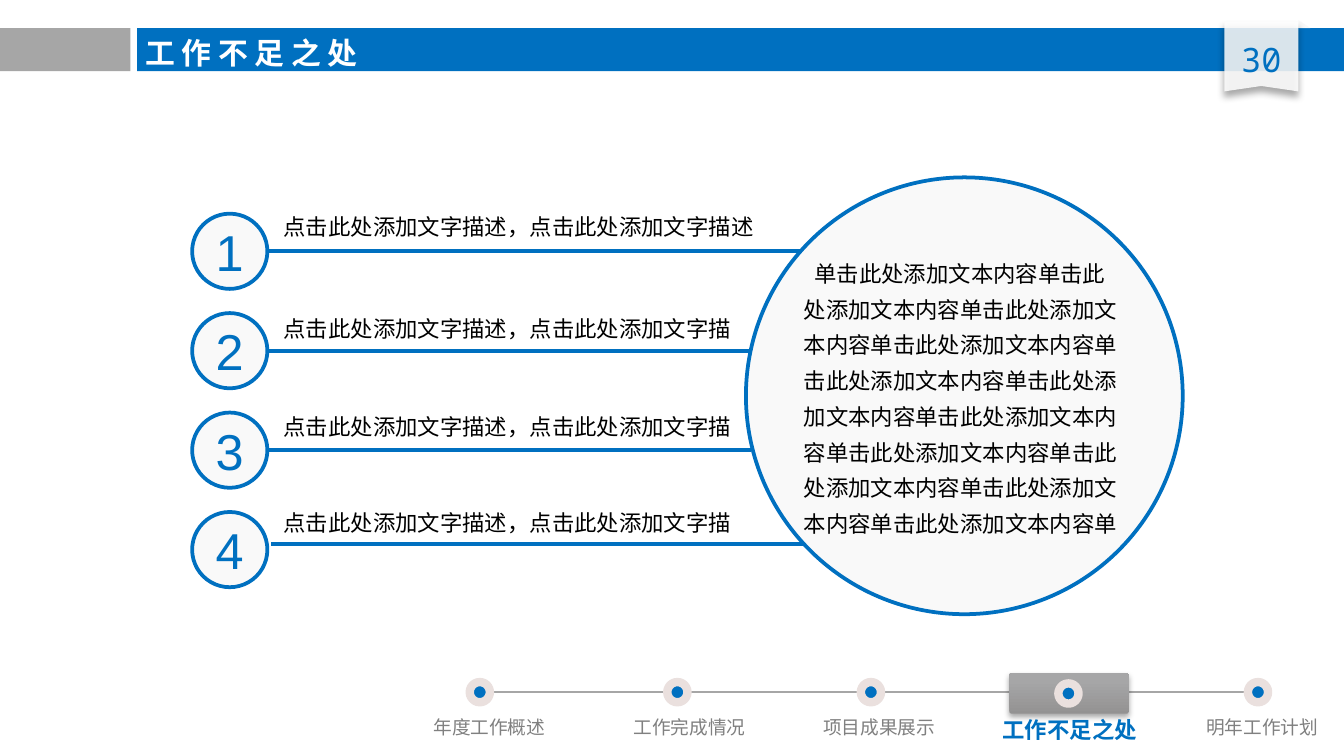
from lxml import etree
from pptx import Presentation
from pptx import util as u
from pptx.dml.color import RGBColor
from pptx.enum import shapes, text
from pptx.oxml import ns

Inches = u.Inches
COLORS = {"blue": "0070C0", "gray": "A6A6A6", "label": "808080", "pale": "F9F9F9",
          "ring": "EAE0DE", "white": "FFFFFF", "fold": "F8F8F8", "black": "000000",
          "tab_dark": "939292", "tab_light": "A6A6A7"}
CJK, MONO = "Noto Sans CJK SC", "Noto Sans Mono"
KIND = shapes.MSO_SHAPE
LEFT, CENTER = text.PP_ALIGN.LEFT, text.PP_ALIGN.CENTER
TOP, MIDDLE = text.MSO_ANCHOR.TOP, text.MSO_ANCHOR.MIDDLE


def color(name):
    return RGBColor.from_string(COLORS[name])


def add_effects(shape, shadow=None):
    """Replace the theme shadow with none, or with (opacity, blur, distance)."""
    effects = etree.SubElement(shape._element.spPr, ns.qn("a:effectLst"))
    if shadow:
        opacity, blur, distance = shadow
        outer = etree.SubElement(effects, ns.qn("a:outerShdw"), blurRad=str(u.Pt(blur)),
                                 dist=str(u.Pt(distance)), dir="5400000", rotWithShape="0")
        tint = etree.SubElement(outer, ns.qn("a:srgbClr"), val=COLORS["black"])
        etree.SubElement(tint, ns.qn("a:alpha"), val=str(opacity * 1000))


def paint(shape, fill, line=None, weight=2, alpha=None, shadow=None):
    shape.fill.solid()
    shape.fill.fore_color.rgb = color(fill)
    if alpha:
        tint = shape._element.spPr.find(".//" + ns.qn("a:srgbClr"))
        etree.SubElement(tint, ns.qn("a:alpha"), val=str(alpha * 1000))
    if line:
        shape.line.color.rgb = color(line)
        shape.line.width = u.Pt(weight)
    else:
        shape.line.fill.background()
    add_effects(shape, shadow)


def add_shape(page, kind, box, fill, **style):
    shape = page.shapes.add_shape(kind, *map(Inches, box))
    paint(shape, fill, **style)
    return shape


def add_line(page, x1, x2, y, name, weight):
    line = page.shapes.add_connector(shapes.MSO_CONNECTOR.STRAIGHT,
                                     Inches(x1), Inches(y), Inches(x2), Inches(y))
    line.line.color.rgb = color(name)
    line.line.width = u.Pt(weight)
    add_effects(line)


def write(shape, words, size, name, font=CJK, bold=False, align=LEFT, anchor=TOP,
          inset=(0.07, 0.04), spacing=None, indent=0, wrap=True):
    frame = shape.text_frame
    frame.word_wrap = wrap
    frame.auto_size = text.MSO_AUTO_SIZE.NONE
    frame.vertical_anchor = anchor
    frame.margin_left = frame.margin_right = Inches(inset[0])
    frame.margin_top = frame.margin_bottom = Inches(inset[1])
    para = frame.paragraphs[0]
    para.alignment = align
    if spacing:
        para.line_spacing = spacing
    if indent:
        para._p.get_or_add_pPr().set("indent", str(Inches(indent)))
    span = para.add_run()
    span.text = words
    span.font.size = u.Pt(size)
    span.font.name = font
    span.font.bold = bold
    span.font.color.rgb = color(name)
    etree.SubElement(span._r.get_or_add_rPr(), ns.qn("a:ea"), typeface=CJK)


def add_text(page, box, words, size, name, **style):
    write(page.shapes.add_textbox(*map(Inches, box)), words, size, name, **style)


def add_header(page, left, top, width, height):
    gray_width, gap = 0.97, 0.05
    blue_left = left + gray_width + gap
    add_shape(page, KIND.RECTANGLE, (left, top, gray_width, height), "gray")
    add_shape(page, KIND.RECTANGLE, (blue_left, top, left + width - blue_left, height), "blue")
    title = page.shapes.title
    title.left, title.top = Inches(left + 0.98), Inches(top)
    title.width, title.height = Inches(2.28), Inches(0.37)
    write(title, "工 作 不 足 之 处", 16, "white", font="Calibri", bold=True, inset=(0.1, 0.05))
    # Draw the title above the bars
    page.shapes._spTree.append(title._element)


def add_page_flag(page, left, top, width, height, number):
    right, bottom = left + width, top + height
    add_shape(page, KIND.RIGHT_TRIANGLE, (right, top - 0.01, 0.09, 0.06), "fold", alpha=85)
    corners = [(left, top), (right, top), (right, bottom), (left + width / 2, bottom - 0.04)]
    outline = page.shapes.build_freeform(Inches(left), Inches(bottom))
    outline.add_line_segments([(Inches(x), Inches(y)) for x, y in corners], close=True)
    paint(outline.convert_to_shape(), "white", alpha=85, shadow=(40, 4, 3))
    add_text(page, (left, top + 0.09, width, 0.38), number, 18, "blue", font=MONO, align=CENTER)


def add_points(page, left, top, points):
    size, pitch = 0.56, 0.74
    for index, (words, text_top, line_left, line_right, line_top) in enumerate(points):
        circle_top = top + index * pitch
        add_line(page, left + line_left, left + line_right, top + line_top, "blue", 2)
        circle = add_shape(page, KIND.OVAL, (left, circle_top, size, size), "pale", line="blue")
        write(circle, str(index + 1), 27, "blue", font="Arial", align=CENTER,
              anchor=MIDDLE, inset=(0, 0))
        add_text(page, (left + 0.61, top + text_top, 4, 0.34), words, 12, "black", spacing=1.33)


def add_summary(page, left, top, size, words):
    add_shape(page, KIND.OVAL, (left, top, size, size), "pale", line="blue")
    add_text(page, (left + 0.36, top + 0.51, 2.54, 2.22), words, 12, "black",
             spacing=1.33, indent=0.08)


def add_navigation(page, left, top, width, steps, current):
    add_line(page, left, left + width, top, "gray", 1)
    dot = 0.15
    for words, dot_center, label_center in steps:
        active = words == current
        x, y = left + dot_center, top
        if active:
            tab = add_shape(page, KIND.ROUNDED_RECTANGLE, (x - 0.44, y - 0.14, 0.89, 0.3),
                            "gray", shadow=(35, 3.1, 1.8))
            tab.adjustments[0] = 0.05
            tab.fill.gradient()
            tab.fill.gradient_angle = 90
            for stop, name, place in zip(tab.fill.gradient_stops,
                                         ("tab_dark", "tab_light"), (0, 0.8)):
                stop.color.rgb = color(name)
                stop.position = place
            y += 0.01
        add_shape(page, KIND.OVAL, (x - dot / 2, y - dot / 2, dot, dot), "blue",
                  line="ring", weight=4.5)
        label_width = 1.16 if active else 0.99
        add_text(page, (left + label_center - label_width / 2, top + 0.14, label_width, 0.26),
                 words, 12 if active else 10, "blue" if active else "label",
                 bold=active, align=CENTER, wrap=False)


def main():
    deck = Presentation()
    deck.slide_width = Inches(10)
    deck.slide_height = deck.slide_width * 9 // 16
    page = deck.slides.add_slide(deck.slide_layouts[5])

    # Header bar and page number
    add_header(page, 0, 0.21, 10, 0.32)
    add_page_flag(page, 9.11, 0.16, 0.55, 0.52, "30")

    # Numbered points: words, text top, line start, line end, line top
    short = "点击此处添加文字描述，点击此处添加文字描"
    add_points(page, 1.43, 1.59, [
        (short + "述", -0.11, 0.56, 4.53, 0.28),
        (short, 0.65, 0.56, 4.16, 1.02),
        (short, 1.38, 0.56, 4.16, 1.76),
        (short, 2.09, 0.59, 4.63, 2.46),
    ])

    # Summary circle
    add_summary(page, 5.55, 1.32, 3.25, "单击此处添加文本内容" * 11 + "单")

    # Section navigation: words, dot centre, label centre
    add_navigation(page, 3.61, 5.15, 5.73, [
        ("年度工作概述", -0.04, 0.03),
        ("工作完成情况", 1.43, 1.52),
        ("项目成果展示", 2.87, 2.93),
        ("工作不足之处", 4.34, 4.35),
        ("明年工作计划", 5.75, 5.78),
    ], current="工作不足之处")

    deck.save("out.pptx")


if __name__ == "__main__":
    main()
